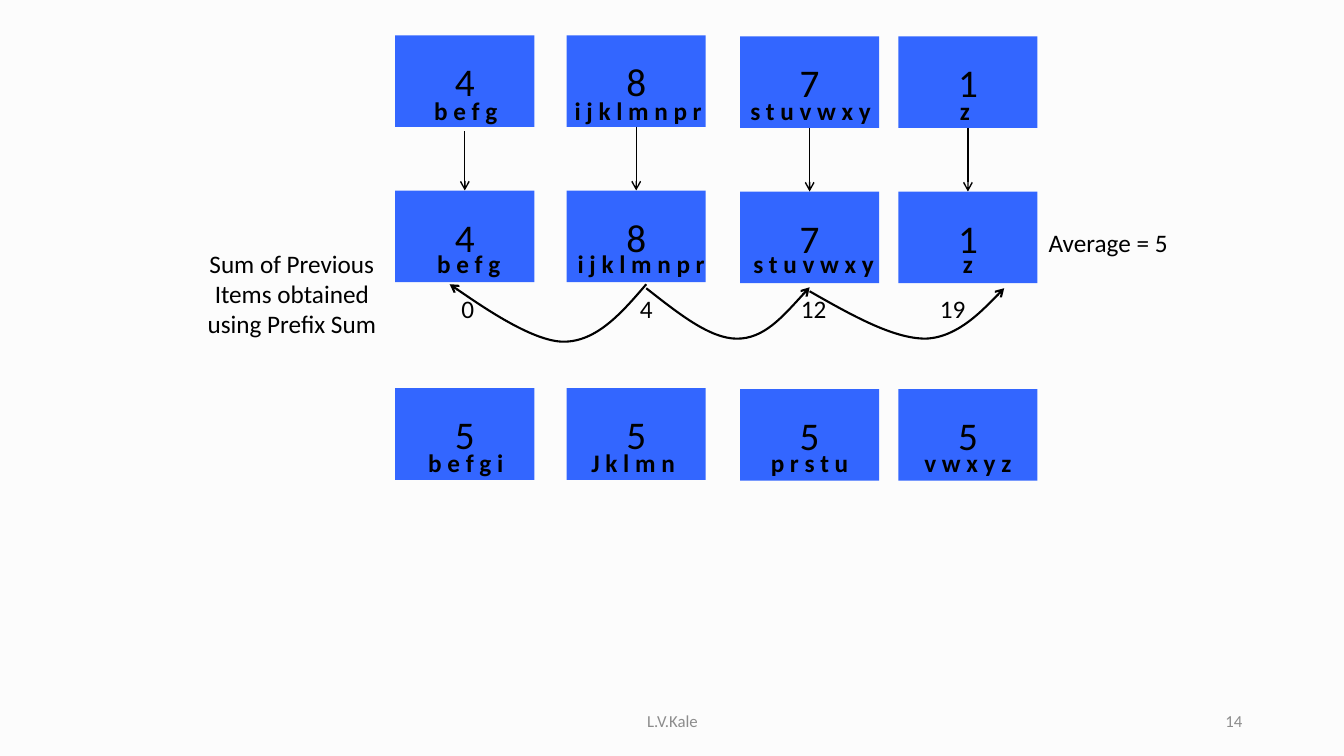
from dataclasses import dataclass
from pptx import Presentation
from pptx.dml.color import RGBColor
from pptx.enum.shapes import MSO_CONNECTOR, MSO_SHAPE
from pptx.enum.text import MSO_ANCHOR, PP_ALIGN
from pptx.oxml.ns import qn
from pptx.util import Inches, Pt
from lxml.etree import SubElement


@dataclass(frozen=True)
class Theme:
    """Colours, font and type sizes of the slide."""
    font: str = "Calibri"
    back: RGBColor = RGBColor(0xFC, 0xFC, 0xFC)
    card: RGBColor = RGBColor(0x33, 0x66, 0xFF)
    ink: RGBColor = RGBColor(0, 0, 0)
    muted: RGBColor = RGBColor(0x8C, 0x8C, 0x8C)
    count: int = 28
    body: int = 18
    footer: int = 12


theme = Theme()
prs = Presentation()
prs.slide_width, prs.slide_height = Inches(13.33), Inches(7.5)
s = prs.slides.add_slide(prs.slide_layouts[6])
s.background.fill.solid()
s.background.fill.fore_color.rgb = theme.back


def write(sp, text, size=theme.body, color=theme.ink, bold=False,
          align=PP_ALIGN.CENTER, anchor=MSO_ANCHOR.TOP):
    """Put one styled paragraph into a shape or text box."""
    tf = sp.text_frame
    tf.text, tf.word_wrap, tf.vertical_anchor = text, True, anchor
    p = tf.paragraphs[0]
    p.alignment = align
    font = p.runs[0].font
    font.name, font.size, font.bold = theme.font, Pt(size), bold
    font.color.rgb = color


def style_arrow(sp, width):
    """Give a line its ink, an open arrowhead at its end and no shadow."""
    sp.line.color.rgb, sp.line.width = theme.ink, Pt(width)
    sp.line._get_or_add_ln().append(
        sp._element.makeelement(qn("a:tailEnd"), {"type": "arrow"}))
    SubElement(sp._element.spPr, qn("a:effectLst"))


# Cards: item count, with the items listed at the foot
card_w, card_h = 1.38, 0.91
card_lefts = [3.92, 5.62, 7.34, 8.91]
card_drops = [0, 0, 0.01, 0.01]
# top of cards, top of labels, label centres, (count, items) per card
start = [("4", "b e f g"), ("8", "i j k l m n p r"), ("7", "s t u v w x y"), ("1", "z")]
balanced = [("5", "b e f g i"), ("5", "J k l m n"), ("5", "p r s t u"), ("5", "v w x y z")]
rows = [
    (0.35, 0.9, [4.62, 6.33, 8.04, 9.57], start),
    (1.89, 2.41, [4.65, 6.36, 8.07, 9.6], start),
    (3.85, 4.39, [4.62, 6.28, 8.03, 9.6], balanced),
]
for card_top, label_top, centres, cards in rows:
    for left, drop, centre, (count, items) in zip(card_lefts, card_drops, centres, cards):
        sp = s.shapes.add_shape(MSO_SHAPE.RECTANGLE, Inches(left), Inches(card_top + drop),
                                Inches(card_w), Inches(card_h))
        sp.shadow.inherit = False
        sp.fill.solid()
        sp.fill.fore_color.rgb = theme.card
        sp.line.fill.background()
        write(sp, count, theme.count, anchor=MSO_ANCHOR.MIDDLE)
        label_w = 1.58 if len(items) > 10 else 1.31
        sp = s.shapes.add_textbox(Inches(centre - label_w / 2), Inches(label_top),
                                  Inches(label_w), Inches(0.4))
        write(sp, items, bold=True)

# Straight arrows from the first row to the second
for left, drop, arrow_top in zip(card_lefts, card_drops, [1.3, 1.26, 1.27, 1.27]):
    x = Inches(left + card_w / 2)
    sp = s.shapes.add_connector(MSO_CONNECTOR.STRAIGHT, x, Inches(arrow_top),
                                x, Inches(rows[1][0] + drop))
    style_arrow(sp, 1)

# Curved arrows: start point, then control, control, end for each Bezier piece
curves = [
    [(6.41, 2.82), (6.17, 3.1), (5.92, 3.39), (5.59, 3.39),
     (5.27, 3.39), (4.46, 2.82), (4.46, 2.82)],
    [(6.41, 2.86), (6.73, 3.11), (7.04, 3.36), (7.31, 3.36),
     (7.58, 3.36), (7.8, 3.1), (8.03, 2.85)],
    [(8.03, 2.89), (8.45, 3.13), (8.86, 3.36), (9.18, 3.36),
     (9.51, 3.35), (9.96, 2.86), (9.96, 2.86)],
]
for curve in curves:
    points = [(Inches(x), Inches(y)) for x, y in curve]
    builder = s.shapes.build_freeform(*points[0])
    builder.add_line_segments(points[1:], close=False)
    sp = builder.convert_to_shape()
    sp.fill.background()
    outline = sp._element.find(".//" + qn("a:path"))
    segments = outline.findall(qn("a:lnTo"))
    for i in range(0, len(segments), 3):
        bezier = SubElement(outline, qn("a:cubicBezTo"))
        for segment in segments[i:i + 3]:
            bezier.append(segment[0])
            outline.remove(segment)
    style_arrow(sp, 1.5)

# Prefix sums under the second row
for centre, total in zip([4.64, 6.41, 8.07, 9.45], ["0", "4", "12", "19"]):
    sp = s.shapes.add_textbox(Inches(centre - 0.3), Inches(2.86), Inches(0.6), Inches(0.4))
    write(sp, total)

# Side notes
for text, left, top, width, height in [
    ("Average = 5", 10.25, 2.21, 1.48, 0.4),
    ("Sum of Previous Items obtained using Prefix Sum", 1.86, 2.41, 2.07, 1.01),
]:
    sp = s.shapes.add_textbox(Inches(left), Inches(top), Inches(width), Inches(height))
    write(sp, text)

# Footer
for text, left, width, align in [("L.V.Kale", 4.42, 4.5, PP_ALIGN.CENTER),
                                 ("14", 9.42, 3, PP_ALIGN.RIGHT)]:
    sp = s.shapes.add_textbox(Inches(left), Inches(6.95), Inches(width), Inches(0.4))
    write(sp, text, theme.footer, theme.muted, align=align, anchor=MSO_ANCHOR.MIDDLE)

prs.save("out.pptx")
